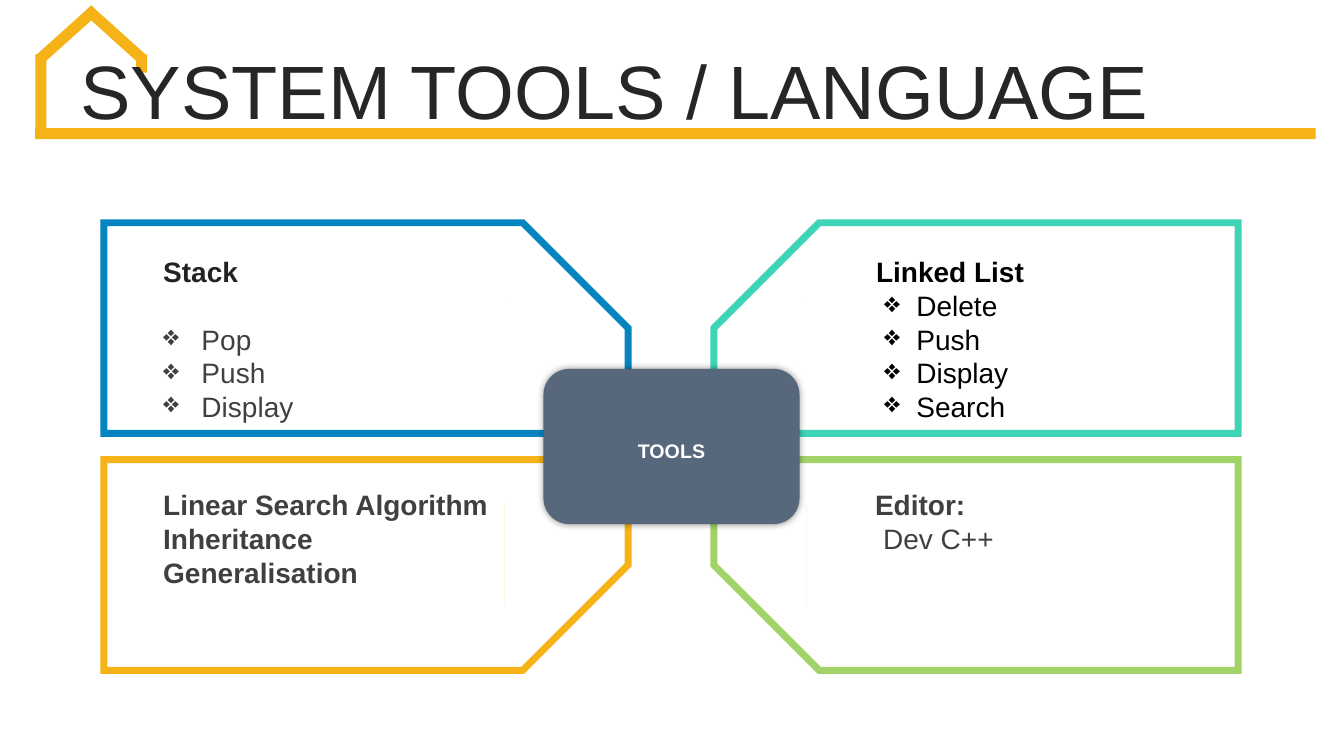
import math
from lxml import etree
from pptx import Presentation
from pptx.dml.color import RGBColor
from pptx.enum import shapes, text
from pptx.oxml.ns import qn
from pptx.util import Inches, Pt

THEME = dict(
    font="Arial", gold="F5B317", blue="0684BF", teal="3ED4B7", green="A2D368",
    slate="57687C", white="FFFFFF", ink="222222", grey="404040", black="000000",
    title="262626", big=54, body=20, small=14, edge=5)

HOUSE = [  # left, top, width, height, rotation
    (0.35, 1.27, 12.7, 0.11, 0),
    (0.35, 0.54, 0.11, 0.8, 0),
    (1.35, 0.54, 0.11, 0.18, 0),
    (0.61, -0.03, 0.11, 0.75, 48),
    (1.09, -0.03, 0.11, 0.75, 312)]

# A line is (text, format); hang is (left margin, first-line indent)
STACK = dict(hang=(0.38, -0.38), bullet="❖")
LINKED = dict(hang=(0.4, -0.32), bullet="❖")
PANELS = [  # colour, text colour, text left, text width, lines
    ("blue", "grey", 1.52, 3.21,
     [("Stack", dict(bold=True, color="ink")), ("Pop", dict(STACK, before=24)),
      ("Push", STACK), ("Display", STACK)]),
    ("teal", "black", 8.59, 3.21,
     [("Linked List", dict(bold=True)), ("Delete", LINKED), ("Push", LINKED),
      ("Display", LINKED), ("Search", LINKED)]),
    ("gold", "grey", 1.52, 3.59,
     [("Linear Search Algorithm", dict(bold=True)), ("Inheritance", dict(bold=True)),
      ("Generalisation", dict(bold=True))]),
    ("green", "grey", 8.58, 3.21,
     [("Editor:", dict(bold=True)), ("Dev C++", dict(hang=(0.08, 0)))])]

# Outlines: a pair is a corner, six numbers are a Bézier curve
BOOK = [[
    (5.17, 5.86), (5.18, 5.86), (5.26, 5.84, 5.29, 5.83, 5.37, 5.85), (5.37, 5.55),
    (5.35, 5.55), (5.35, 5.82), (5.3, 5.8, 5.24, 5.82, 5.18, 5.86), (5.18, 5.53),
    (5.21, 5.49, 5.25, 5.47, 5.29, 5.47), (5.31, 5.47, 5.33, 5.47, 5.35, 5.48),
    (5.35, 5.53), (5.39, 5.53), (5.39, 5.58), (5.41, 5.58), (5.41, 5.9), (4.95, 5.9),
    (4.95, 5.58), (4.96, 5.58), (4.96, 5.53), (5, 5.53), (5, 5.48),
    (5.02, 5.47, 5.04, 5.47, 5.06, 5.47), (5.1, 5.47, 5.14, 5.49, 5.17, 5.53),
    (5.17, 5.86), (5.11, 5.82, 5.05, 5.8, 5, 5.82), (5, 5.55), (4.98, 5.55),
    (4.98, 5.85), (5.05, 5.82, 5.1, 5.84, 5.17, 5.86)]]
PUZZLE = [[
    (8.32, 5.44), (8.34, 5.46, 8.35, 5.5, 8.33, 5.52),
    (8.3, 5.55, 8.27, 5.53, 8.25, 5.57), (8.35, 5.68), (8.25, 5.78),
    (8.21, 5.76, 8.22, 5.73, 8.19, 5.7), (8.17, 5.68, 8.14, 5.69, 8.12, 5.71),
    (8.1, 5.72, 8.09, 5.76, 8.12, 5.79), (8.15, 5.82, 8.16, 5.8, 8.2, 5.83),
    (8.09, 5.94), (7.98, 5.83), (7.94, 5.87, 7.96, 5.88, 7.93, 5.91),
    (7.91, 5.94, 7.87, 5.93, 7.85, 5.91), (7.84, 5.9, 7.83, 5.86, 7.85, 5.84),
    (7.87, 5.81, 7.9, 5.82, 7.93, 5.78), (7.83, 5.68), (7.93, 5.57),
    (7.97, 5.6, 7.96, 5.63, 7.99, 5.65), (8.01, 5.67, 8.05, 5.67, 8.06, 5.65),
    (8.08, 5.63, 8.09, 5.6, 8.06, 5.57), (8.03, 5.54, 8.02, 5.56, 7.98, 5.52),
    (8.09, 5.42), (8.2, 5.53), (8.24, 5.49, 8.22, 5.48, 8.24, 5.45),
    (8.27, 5.42, 8.31, 5.43, 8.32, 5.44)]]

deck = Presentation()
deck.slide_width, deck.slide_height = Inches(13.33), Inches(7.5)
slide = deck.slides.add_slide(deck.slide_layouts[6])


def rgb(name):
    return RGBColor.from_string(THEME[name])


def node(parent, tag, **attrs):
    return etree.SubElement(parent, qn("a:" + tag), {k: str(v) for k, v in attrs.items()})


def paint(shape, fill, line=None):
    shape.shadow.inherit = False
    shape.fill.solid()
    shape.fill.fore_color.rgb = rgb(fill)
    if line:
        shape.line.color.rgb = rgb(line)
        shape.line.width = Pt(THEME["edge"])
        node(shape.line._get_or_add_ln(), "miter", lim=800000)
    else:
        shape.line.fill.background()


def block(kind, box, fill, line=None):
    shape = slide.shapes.add_shape(kind, *map(Inches, box))
    paint(shape, fill, line)
    return shape


def write(box, lines, size="body", color="black", align=None, anchor="TOP", spacing=None):
    """Add a text box; each line is (text, format)."""
    frame = slide.shapes.add_textbox(*map(Inches, box)).text_frame
    frame.word_wrap = True
    frame.vertical_anchor = text.MSO_ANCHOR[anchor]
    for i, (words, look) in enumerate(lines):
        para = frame.paragraphs[0] if i == 0 else frame.add_paragraph()
        para.alignment, para.line_spacing = align, spacing
        if "before" in look:
            para.space_before = Pt(look["before"])
        props = para._p.get_or_add_pPr()
        if "hang" in look:
            left, first = look["hang"]
            props.set("marL", str(Inches(left)))
            props.set("indent", str(Inches(first)))
        if "bullet" in look:
            node(props, "buChar", char=look["bullet"])
        run = para.add_run()
        run.text = words
        run.font.name, run.font.size = THEME["font"], Pt(THEME[size])
        run.font.bold = look.get("bold", False)
        run.font.color.rgb = rgb(look.get("color", color))


def trace(points):
    """Turn corners and curves into plain points."""
    path = []
    for item in points:
        if len(item) == 2:
            path.append(item)
            continue
        ends = [path[-1], item[:2], item[2:4], item[4:]]
        for t in (k / 8 for k in range(1, 9)):
            mix = [math.comb(3, n) * t**n * (1 - t)**(3 - n) for n in range(4)]
            path.append(tuple(sum(m * e[axis] for m, e in zip(mix, ends)) for axis in (0, 1)))
    return path


def icon(loops, fill):
    first, *rest = map(trace, loops)
    pen = slide.shapes.build_freeform(*first[0], scale=Inches(1))
    pen.add_line_segments(first[1:])
    for loop in rest:
        pen.move_to(*loop[0])
        pen.add_line_segments(loop[1:])
    paint(pen.convert_to_shape(), fill)


def polar(radius, angle):
    turn = math.radians(angle)
    return 5.15 + radius * math.cos(turn), 3.18 + radius * math.sin(turn)


def rect(left, top, wide, high):
    return [(left, top), (left + wide, top), (left + wide, top + high), (left, top + high)]


def gear():
    teeth = [polar(r, 45 * k - 76 + a) for k in range(8)
             for r, a in ((0.2, -15), (0.25, -8.5), (0.25, 8.5), (0.2, 15))]
    rings = [[polar(r, 10 * k) for k in range(36)] for r in (0.17, 0.15, 0.09)]
    return [teeth, *rings]


def film():
    holes = [rect(x, 2.95 + 0.045 * k, 0.05, 0.025) for x in (7.77, 8.16) for k in range(9)]
    return [rect(7.74, 2.93, 0.51, 0.43), *holes, [(7.9, 3.02), (7.9, 3.27), (8.11, 3.15)]]


for *box, turn in HOUSE:
    block(shapes.MSO_SHAPE.RECTANGLE, box, "gold").rotation = turn
write((0.7, 0.55, 12.31, 0.79), [("SYSTEM TOOLS / LANGUAGE", {})], size="big",
      color="title", anchor="MIDDLE", spacing=0.9)

for i, (tint, *_) in enumerate(PANELS):
    row, col = divmod(i, 2)
    panel = block(shapes.MSO_SHAPE.SNIP_1_RECTANGLE,
                  (1.03 + 6.05 * col, 2.21 + 2.35 * row, 5.2, 2.09), "white", tint)
    panel.adjustments[0] = 0.5
    frame = panel.element.spPr.get_or_add_xfrm()
    frame.set("flipH", str(col))
    frame.set("flipV", str(row))

hub = block(shapes.MSO_SHAPE.ROUNDED_RECTANGLE, (5.39, 3.66, 2.54, 1.54), "slate")
glow = node(hub.element.spPr.find(qn("a:effectLst")), "outerShdw", blurRad=Pt(5), dist=0, dir=0)
node(node(glow, "srgbClr", val=THEME["black"]), "alpha", val=40000)
write((5.74, 4.3, 1.84, 0.28), [("TOOLS", dict(bold=True))], size="small",
      color="white", align=text.PP_ALIGN.CENTER)

for i, (_, shade, left, wide, lines) in enumerate(PANELS):
    top, high = ((2.48, 1.78), (4.79, 1.45))[i // 2]
    write((left, top, wide, high), lines, color=shade)

for loops, tint in ((BOOK, "gold"), (film(), "teal"), (gear(), "blue"), (PUZZLE, "green")):
    icon(loops, tint)

deck.save("out.pptx")
